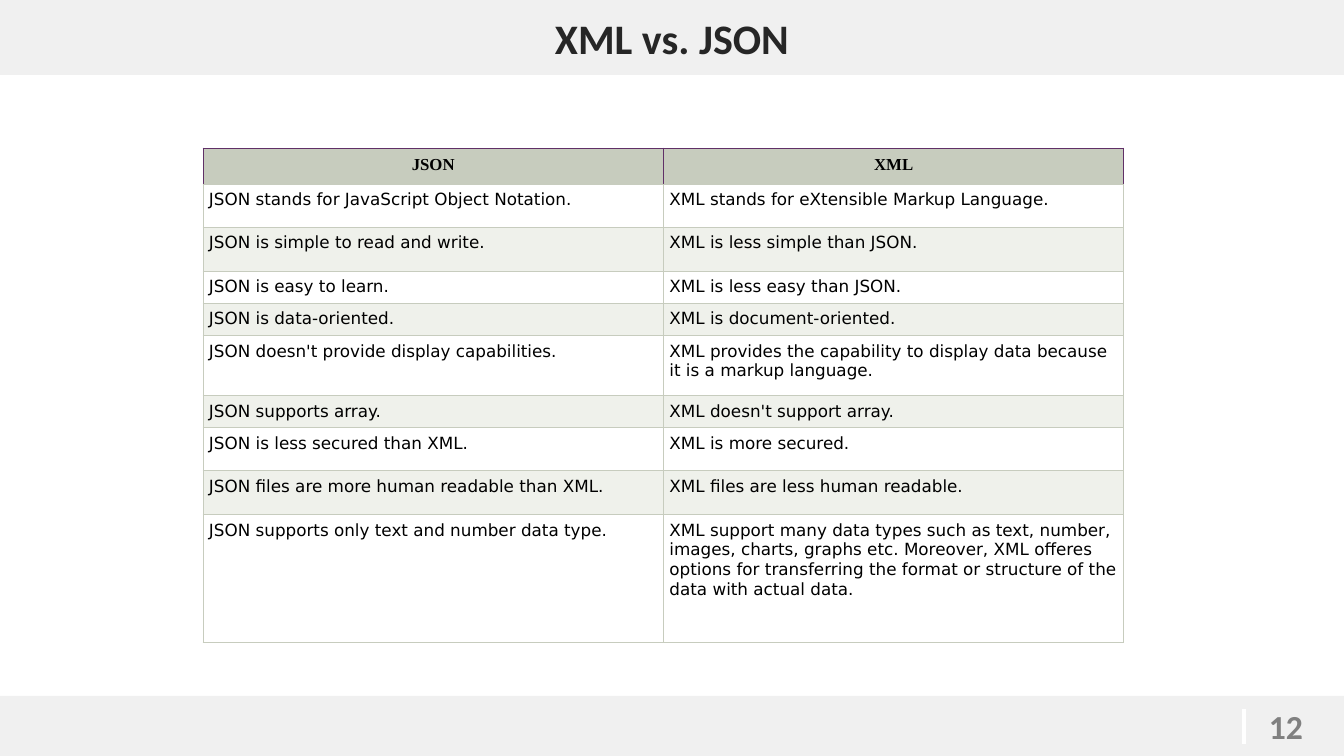
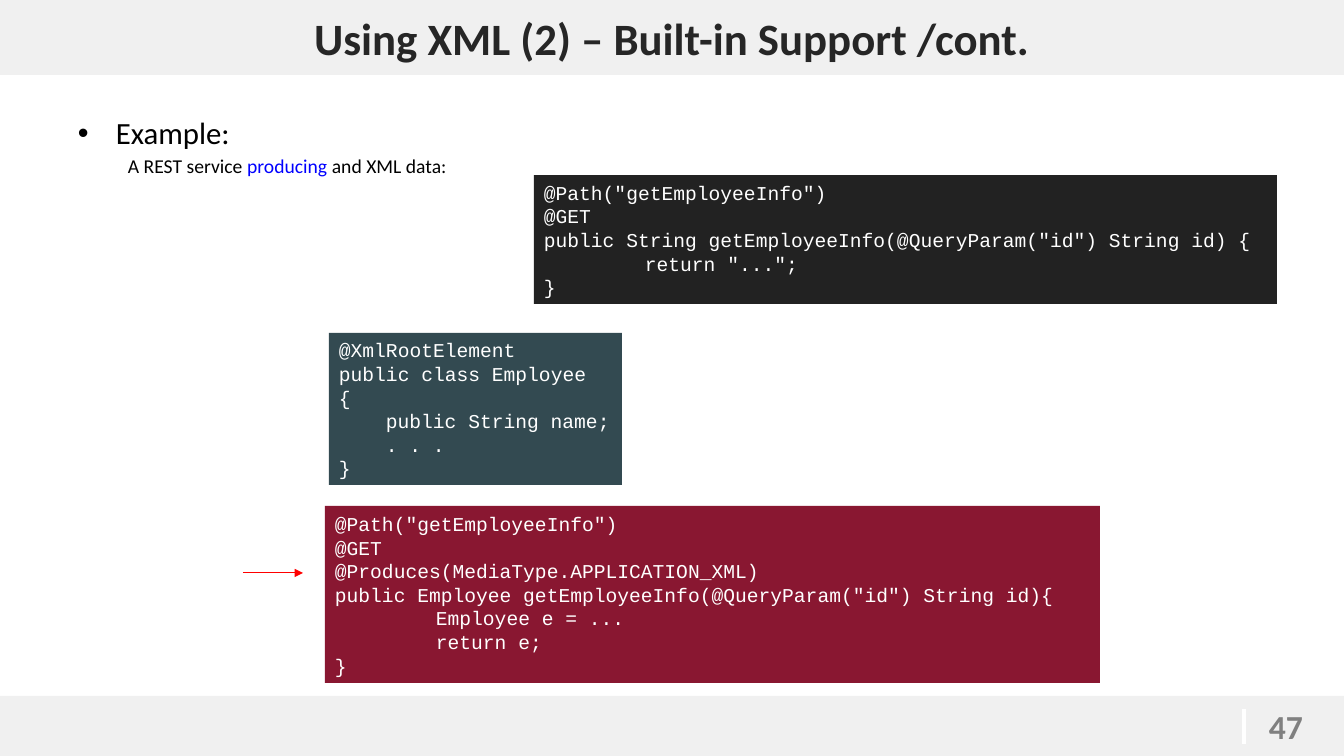
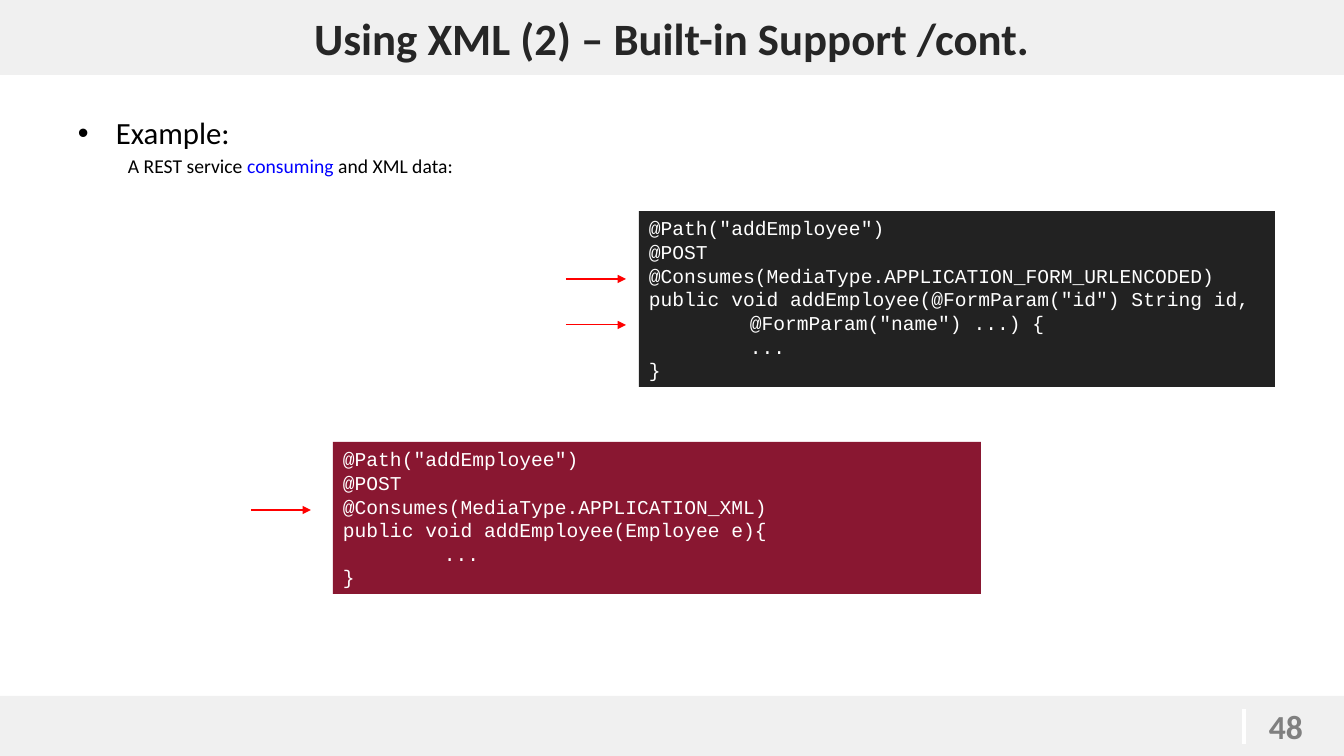
from pptx import Presentation
from pptx.dml.color import RGBColor as RGB
from pptx.enum.shapes import MSO_CONNECTOR as Conn, MSO_SHAPE as Shape
from pptx.enum.text import MSO_ANCHOR as Anchor, PP_ALIGN as Align
from pptx.oxml.ns import qn
from pptx.util import Pt
from lxml.etree import SubElement as Sub

# Scale, page and colours
PX = 914400 / 100.8
WIDE, HIGH = 1344, 756

WHITE = RGB(0xFF, 0xFF, 0xFF)
BLACK = RGB(0, 0, 0)
BAND = RGB(0xF0, 0xF0, 0xF0)
INK = RGB(0x26, 0x26, 0x26)
GREY = RGB(0x80, 0x80, 0x80)
BLUE = RGB(0, 0, 0xFF)
RED = RGB(0xFF, 0, 0)
DARK = RGB(0x22, 0x22, 0x22)
WINE = RGB(0x89, 0x17, 0x31)
SLATE = RGB(0x33, 0x4A, 0x51)
SAGE = RGB(0xC7, 0xCC, 0xBE)
PALE = RGB(0xEF, 0xF1, 0xEB)
PLUM = RGB(0x60, 0x30, 0x67)

HEADS = ("JSON", "XML")
FACTS = [
    (43, "JSON stands for JavaScript Object Notation.",
     "XML stands for eXtensible Markup Language."),
    (44, "JSON is simple to read and write.", "XML is less simple than JSON."),
    (31, "JSON is easy to learn.", "XML is less easy than JSON."),
    (31, "JSON is data-oriented.", "XML is document-oriented."),
    (60, "JSON doesn't provide display capabilities.",
     "XML provides the capability to display data because it is a markup language."),
    (31, "JSON supports array.", "XML doesn't support array."),
    (43, "JSON is less secured than XML.", "XML is more secured."),
    (44, "JSON files are more human readable than XML.",
     "XML files are less human readable."),
    (128, "JSON supports only text and number data type.",
     "XML support many data types such as text, number, images, charts, graphs etc. "
     "Moreover, XML offeres options for transferring the format or structure of the "
     "data with actual data."),
]

# Code lines; a leading ">" stands for one step of indent
GET_TEXT = """@Path("getEmployeeInfo")
@GET
public String getEmployeeInfo(@QueryParam("id") String id) {
>return "...";
}"""
GET_XML = """@Path("getEmployeeInfo")
@GET
@Produces(MediaType.APPLICATION_XML)
public Employee getEmployeeInfo(@QueryParam("id") String id){
>Employee e = ...
>return e;
}"""
CLASS = """@XmlRootElement
public class Employee
{
>public String name;
>. . .
}"""
ADD_FORM = """@Path("addEmployee")
@POST
@Consumes(MediaType.APPLICATION_FORM_URLENCODED)
public void addEmployee(@FormParam("id") String id,
>@FormParam("name") ...) {
>...
}"""
ADD_XML = """@Path("addEmployee")
@POST
@Consumes(MediaType.APPLICATION_XML)
public void addEmployee(Employee e){
>...
}"""


def emu(*vals):
    return [round(v * PX) for v in vals]


def write(frame, text, size=14, color=BLACK, font="Calibri", bold=False,
          align=Align.LEFT, left=0, hang=0, bullet=None, before=0, line=None):
    """Add one paragraph; text is a string or a list of (words, colour)."""
    para = frame.add_paragraph() if frame.text else frame.paragraphs[0]
    para.alignment = align
    para.space_before = Pt(before)
    if line:
        para.line_spacing = Pt(line)
    props = para._p.get_or_add_pPr()
    step, first = emu(left, -hang)
    props.set("marL", str(step))
    props.set("indent", str(first))
    if bullet:
        Sub(props, qn("a:buFont"), typeface="Arial")
        Sub(props, qn("a:buChar"), char=bullet)
    else:
        Sub(props, qn("a:buNone"))
    for words, tint in [(text, color)] if isinstance(text, str) else text:
        run = para.add_run()
        run.text = words
        run.font.size, run.font.name, run.font.bold = Pt(size), font, bold
        run.font.color.rgb = tint


def rect(slide, box, color):
    shape = slide.shapes.add_shape(Shape.RECTANGLE, *emu(*box))
    shape.shadow.inherit = False
    shape.fill.solid()
    shape.fill.fore_color.rgb = color
    shape.line.fill.background()
    frame = shape.text_frame
    frame.word_wrap = True
    frame.vertical_anchor = Anchor.MIDDLE
    return frame


def label(slide, box):
    frame = slide.shapes.add_textbox(*emu(*box)).text_frame
    frame.word_wrap = True
    return frame


def rule(slide, start, end, color, width, head=False):
    link = slide.shapes.add_connector(Conn.STRAIGHT, *emu(*start, *end))
    link.line.color.rgb = color
    link.line.width = Pt(width)
    if head:
        Sub(link.line._get_or_add_ln(), qn("a:tailEnd"), type="triangle")
    Sub(link._element.spPr, qn("a:effectLst"))


def base(deck, title, page, size=32):
    """Slide with the title band, footer band and page number."""
    slide = deck.slides.add_slide(deck.slide_layouts[6])
    top = 696
    rect(slide, (0, top, WIDE, HIGH - top), BAND)
    write(label(slide, (1259, top + 5, 85, 50)), str(page), size=24, color=GREY, bold=True)
    rule(slide, (1244, top + 13), (1244, top + 48), WHITE, 3)
    write(rect(slide, (0, 0, WIDE, 75), BAND), title, size=size, color=INK,
          bold=True, align=Align.CENTER)
    return slide


def edge(cell, sides):
    props = cell._tc.get_or_add_tcPr()
    for side, color in zip("LRTB", sides):
        line = Sub(props, qn("a:ln" + side), w=str(Pt(0.75)))
        Sub(Sub(line, qn("a:solidFill")), qn("a:srgbClr"), val=str(color))


def fill(cell, text, color, sides, pad, **form):
    edge(cell, sides)
    cell.fill.solid()
    cell.fill.fore_color.rgb = color
    (cell.margin_left, cell.margin_right,
     cell.margin_top, cell.margin_bottom) = emu(pad, pad, pad, pad)
    write(cell.text_frame, text, size=12, **form)


def grid(slide, x, y, wide):
    """Table with one header row and striped facts."""
    highs = [35] + [fact[0] for fact in FACTS]
    table = slide.shapes.add_table(len(highs), 2, *emu(x, y, wide, sum(highs))).table
    table.horz_banding = False
    for col in table.columns:
        col.width = emu(wide / 2)[0]
    for row, high in zip(table.rows, highs):
        row.height = emu(high)[0]
    for c, head in enumerate(HEADS):
        fill(table.cell(0, c), head, SAGE, (PLUM, PLUM, PLUM, SAGE), 8,
             font="Times New Roman", bold=True, align=Align.CENTER)
    for r, (_, *pair) in enumerate(FACTS, 1):
        for c, text in enumerate(pair):
            fill(table.cell(r, c), text, WHITE if r % 2 else PALE, [SAGE] * 4, 6,
                 font="DejaVu Sans")


def code(slide, box, text, color, step=101):
    frame = rect(slide, box, color)
    frame.margin_right = 0
    for line in text.split("\n"):
        write(frame, line.lstrip(">"), color=WHITE, font="Courier New",
              left=step * line.count(">", 0, 1), line=16.9)


def arrow(slide, x, y):
    rule(slide, (x, y), (x + 60, y), RED, 0.75, head=True)


def sample(deck, page, verb, blocks, marks):
    """Example slide: intro, code blocks and arrows."""
    slide = base(deck, "Using XML (2) – Built-in Support /cont.", page)
    intro = label(slide, (68, 109, 1210, 567))
    write(intro, "Example:", size=22, left=38, hang=38, bullet="•", before=2)
    write(intro, [("A REST service ", BLACK), (verb, BLUE), (" and XML data:", BLACK)],
          left=50, before=2)
    for block in blocks:
        code(slide, *block)
    for mark in marks:
        arrow(slide, *mark)


def main():
    deck = Presentation()
    deck.slide_width, deck.slide_height = emu(WIDE, HIGH)
    grid(base(deck, "XML vs. JSON", 12, size=30), 203, 148, 921)
    sample(deck, 47, "producing",
           [((534, 175, 743, 129), GET_TEXT, DARK),
            ((325, 506, 775, 177), GET_XML, WINE),
            ((329, 333, 293, 152), CLASS, SLATE, 47)],
           [(243, 573)])
    sample(deck, 48, "consuming",
           [((639, 211, 636, 176), ADD_FORM, DARK),
            ((333, 442, 648, 152), ADD_XML, WINE)],
           [(566, 279), (251, 510), (566, 325)])
    deck.save("out.pptx")


if __name__ == "__main__":
    main()
